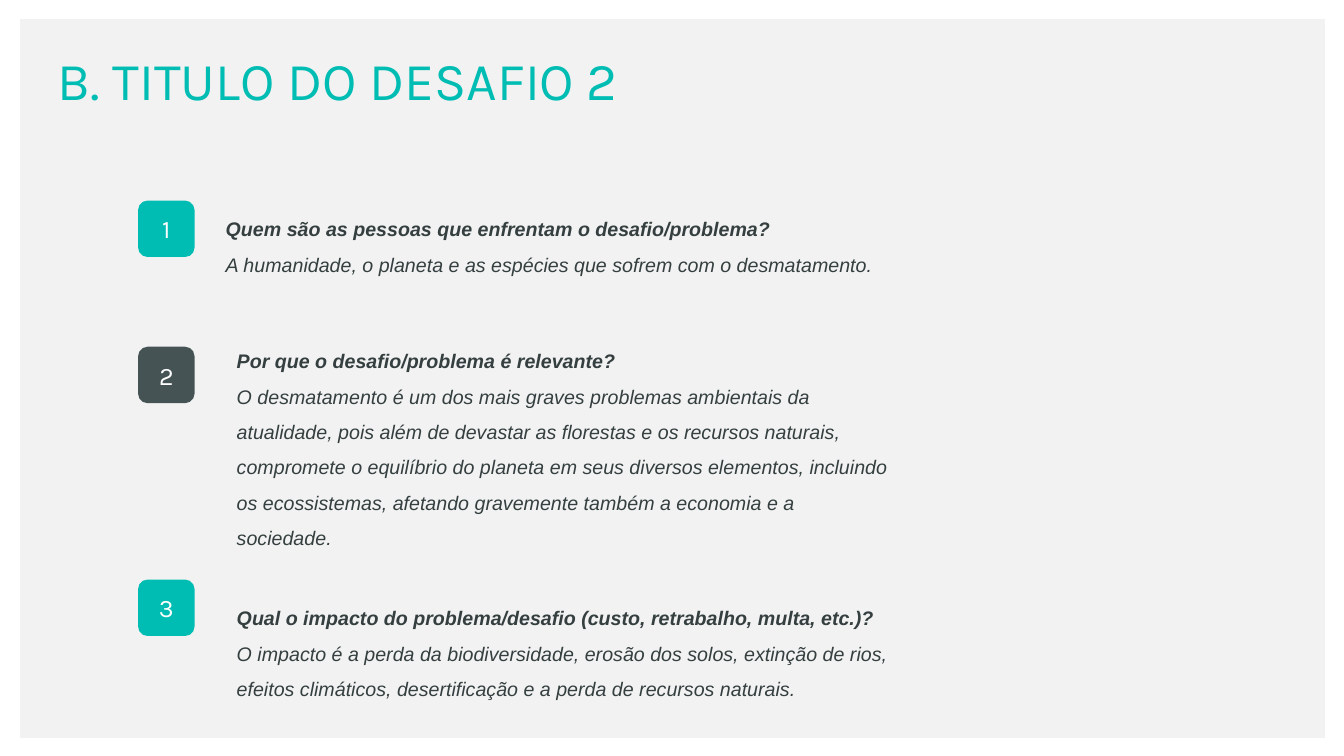
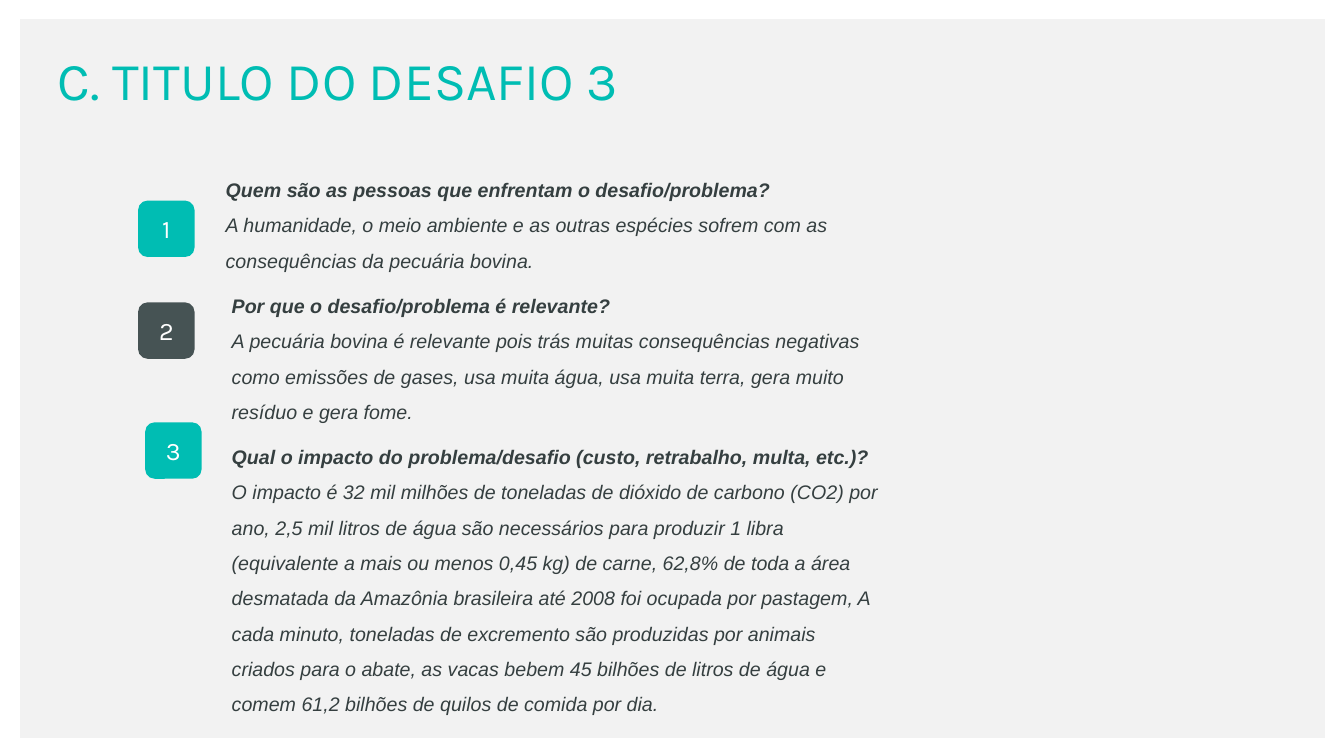
from pptx import Presentation
from pptx.dml.color import RGBColor
from pptx.enum import shapes, text
from pptx.util import Inches, Pt

TEAL, SLATE, INK, PANEL, WHITE = "00BDB3", "465354", "353F40", "F2F2F2", "FFFFFF"
TITLE_FONT = {"name": "Karla", "size": Pt(38), "bold": False}
BADGE_FONT = {"name": "Karla", "size": Pt(18)}
ANSWER_FONT = {"name": "Arial", "size": Pt(14), "italic": True, "bold": False}
QUESTION_FONT = {**ANSWER_FONT, "bold": True}

BADGE_SIZE = 0.56
BADGE_LEFT = 1.37
ANSWER_WIDTH = 6.66
QUESTIONS = [
    "Quem são as pessoas que enfrentam o desafio/problema?",
    "Por que o desafio/problema é relevante?",
    "Qual o impacto do problema/desafio (custo, retrabalho, multa, etc.)?",
]

# Each answer: badge (left, top), text box (left, top, height), text
CHALLENGES = [
    ("B. TITULO DO DESAFIO 2", [
        ((BADGE_LEFT, 1.99), (2.14, 1.99, 0.8),
         "A humanidade, o planeta e as espécies que sofrem com o desmatamento."),
        ((BADGE_LEFT, 3.44), (2.25, 3.3, 2.2),
         "O desmatamento é um dos mais graves problemas ambientais da atualidade, "
         "pois além de devastar as florestas e os recursos naturais, compromete o "
         "equilíbrio do planeta em seus diversos elementos, incluindo os "
         "ecossistemas, afetando gravemente também a economia e a sociedade."),
        ((BADGE_LEFT, 5.75), (2.25, 5.85, 1.15),
         "O impacto é a perda da biodiversidade, erosão dos solos, extinção de rios, "
         "efeitos climáticos, desertificação e a perda de recursos naturais."),
    ]),
    ("C. TITULO DO DESAFIO 3", [
        ((BADGE_LEFT, 1.99), (2.14, 1.6, 1.15),
         "A humanidade, o meio ambiente e as outras espécies sofrem com as "
         "consequências da pecuária bovina."),
        ((BADGE_LEFT, 3), (2.2, 2.75, 1.5),
         "A pecuária bovina é relevante pois trás muitas consequências negativas "
         "como emissões de gases, usa muita água, usa muita terra, gera muito "
         "resíduo e gera fome."),
        ((1.44, 4.19), (2.2, 4.25, 2.89),
         "O impacto é 32 mil milhões de toneladas de dióxido de carbono (CO2) por "
         "ano, 2,5 mil litros de água são necessários para produzir 1 libra "
         "(equivalente a mais ou menos 0,45 kg) de carne, 62,8% de toda a área "
         "desmatada da Amazônia brasileira até 2008 foi ocupada por pastagem, A "
         "cada minuto, toneladas de excremento são produzidas por animais criados "
         "para o abate, as vacas bebem 45 bilhões de litros de água e comem 61,2 "
         "bilhões de quilos de comida por dia."),
    ]),
]


def rgb(color):
    return RGBColor.from_string(color)


def apply(target, formats):
    for name, value in formats.items():
        setattr(target, name, value)


def write(paragraph, words, font, color):
    run = paragraph.add_run()
    run.text = words
    apply(run.font, font)
    run.font.color.rgb = rgb(color)


def add_block(slide, preset, box, color):
    block = slide.shapes.add_shape(preset, *map(Inches, box))
    block.shadow.inherit = False
    block.fill.solid()
    block.fill.fore_color.rgb = rgb(color)
    block.line.fill.background()
    return block


def share_panel(slide, layout):
    """Put the grey panel on the layout, behind everything on its slides."""
    panel = add_block(slide, shapes.MSO_SHAPE.RECTANGLE, (0.2, 0.19, 12.94, 7.13), PANEL)
    layout.placeholders[0].element.addprevious(panel.element)


def place_title(slide, words):
    title = slide.shapes.title
    apply(title, {"left": Inches(0.47), "top": Inches(0.37),
                  "width": Inches(7.06), "height": Inches(0.73)})
    frame = title.text_frame
    apply(frame, {"auto_size": text.MSO_AUTO_SIZE.NONE, "word_wrap": True,
                  "vertical_anchor": text.MSO_ANCHOR.TOP, "margin_top": Inches(0.1),
                  "margin_bottom": 0})
    paragraph = frame.paragraphs[0]
    paragraph.alignment = text.PP_ALIGN.LEFT
    write(paragraph, words, TITLE_FONT, TEAL)


def add_badge(slide, left, top, number):
    badge = add_block(slide, shapes.MSO_SHAPE.ROUNDED_RECTANGLE,
                      (left, top, BADGE_SIZE, BADGE_SIZE), TEAL if number % 2 else SLATE)
    badge.adjustments[0] = 0.167
    frame = badge.text_frame
    frame.vertical_anchor = text.MSO_ANCHOR.MIDDLE
    frame.paragraphs[0].alignment = text.PP_ALIGN.CENTER
    write(frame.paragraphs[0], str(number), BADGE_FONT, WHITE)


def add_answer(slide, left, top, height, question, answer):
    box = map(Inches, (left, top, ANSWER_WIDTH, height))
    frame = slide.shapes.add_textbox(*box).text_frame
    frame.word_wrap = True
    heading, body = frame.paragraphs[0], frame.add_paragraph()
    for paragraph, words, font in ((heading, question, QUESTION_FONT),
                                   (body, answer, ANSWER_FONT)):
        paragraph.line_spacing = 1.5
        write(paragraph, words, font, INK)


def add_challenge(slide, title, answers):
    place_title(slide, title)
    for number, (question, (badge, box, answer)) in enumerate(zip(QUESTIONS, answers), 1):
        add_badge(slide, *badge, number)
        add_answer(slide, *box, question, answer)


def main():
    deck = Presentation()
    apply(deck, {"slide_width": Inches(13.33), "slide_height": Inches(7.5)})
    layout = deck.slide_layouts.get_by_name("Title Only")
    for index, (title, answers) in enumerate(CHALLENGES):
        slide = deck.slides.add_slide(layout)
        if index == 0:
            share_panel(slide, layout)
        add_challenge(slide, title, answers)
    deck.save("out.pptx")


if __name__ == "__main__":
    main()
